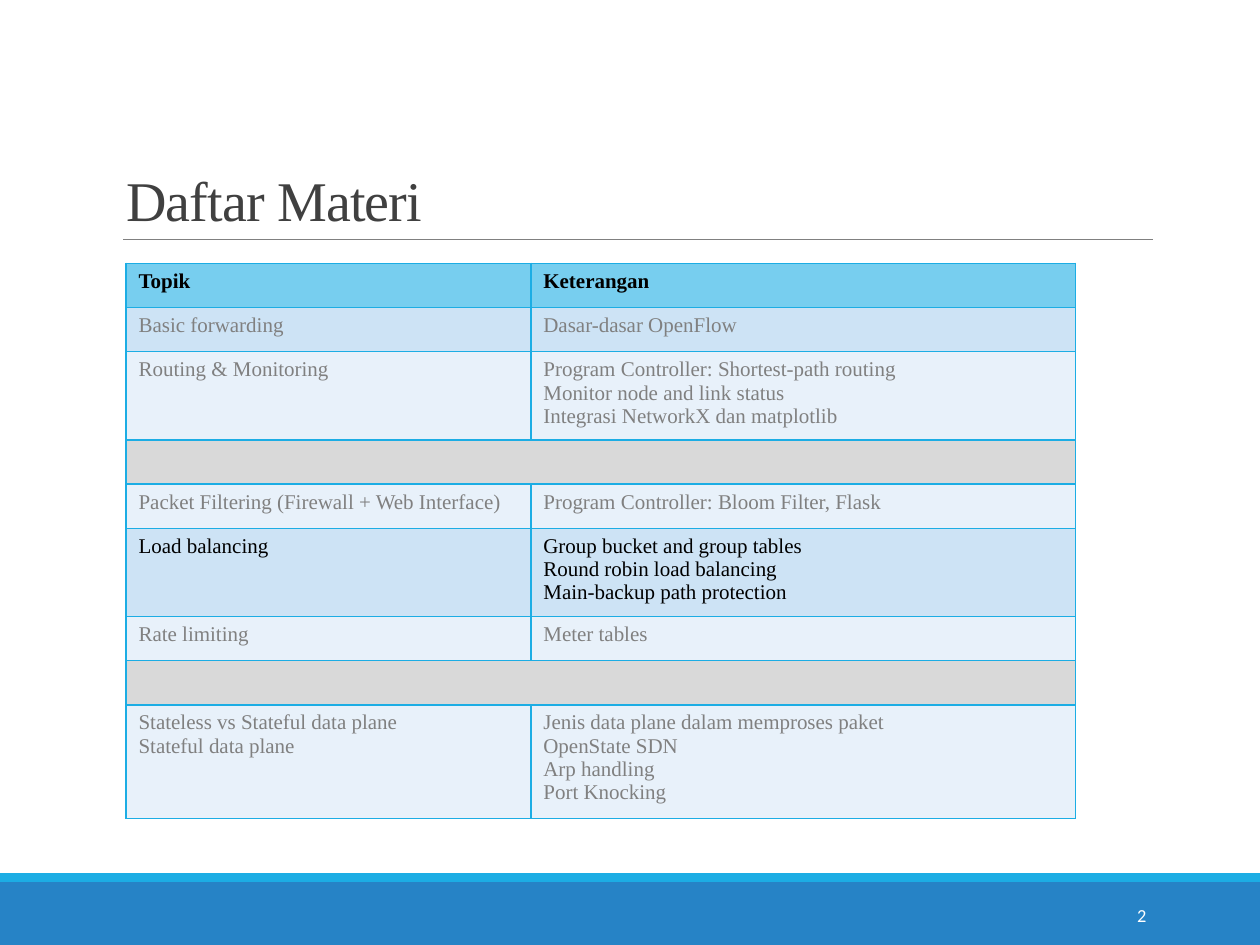
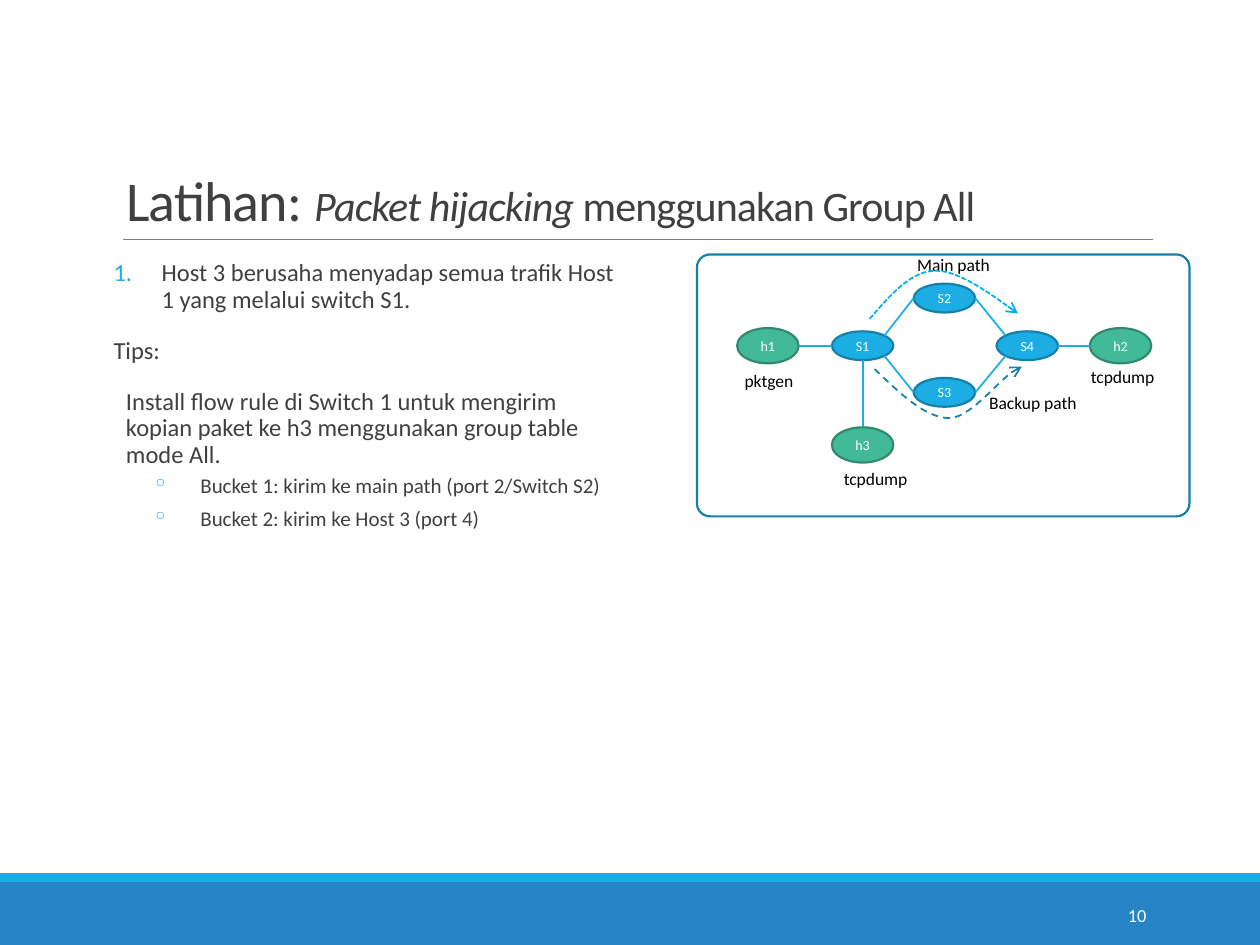
"""Build two slides on SDN load balancing: a topic table and a packet hijacking exercise."""
from dataclasses import dataclass
from math import sqrt
from typing import NamedTuple

from lxml import etree
from pptx import Presentation
from pptx.dml.color import RGBColor
from pptx.enum.dml import MSO_LINE
from pptx.enum.shapes import MSO_CONNECTOR, MSO_SHAPE
from pptx.enum.text import MSO_ANCHOR, MSO_AUTO_SIZE, PP_ALIGN
from pptx.oxml.ns import qn
from pptx.util import Cm, Pt

RECTANGLE, ROUNDED, OVAL = MSO_SHAPE.RECTANGLE, MSO_SHAPE.ROUNDED_RECTANGLE, MSO_SHAPE.OVAL
STRAIGHT = MSO_CONNECTOR.STRAIGHT
DASH, SHORT_DASH = MSO_LINE.DASH, MSO_LINE.SQUARE_DOT
MIDDLE, BOTTOM = MSO_ANCHOR.MIDDLE, MSO_ANCHOR.BOTTOM
LEFT, CENTER, RIGHT = PP_ALIGN.LEFT, PP_ALIGN.CENTER, PP_ALIGN.RIGHT
FIT_SHAPE, NO_FIT = MSO_AUTO_SIZE.SHAPE_TO_FIT_TEXT, MSO_AUTO_SIZE.NONE
TITLE_ONLY = 5
DIAGONAL = 1 / sqrt(2)


@dataclass(frozen=True)
class Theme:
    sans: str = "Calibri"
    serif: str = "Times New Roman"
    accent: str = "1CADE4"
    accent_dark: str = "1580A9"
    footer: str = "2683C6"
    host: str = "42BA97"
    host_dark: str = "318A70"
    main_path: str = "00B0F0"
    white: str = "FFFFFF"
    black: str = "000000"
    text: str = "404040"
    muted: str = "808080"
    header_fill: str = "77CEEF"
    strong_fill: str = "CDE3F5"
    light_fill: str = "E8F1FA"
    gap_fill: str = "D9D9D9"
    title_size: float = 32
    subtitle_size: float = 24
    body_size: float = 14
    detail_size: float = 12
    number_size: float = 10.5
    label_size: float = 10
    node_size: float = 8


THEME = Theme()


class Box(NamedTuple):
    left: float
    top: float
    width: float
    height: float


class TitlePart(NamedTuple):
    text: str
    size: float = THEME.title_size
    italic: bool = False


class Topic(NamedTuple):
    name: str
    detail: str
    fill: str = THEME.light_fill
    color: str = THEME.muted
    bold: bool = False


class BodyLine(NamedTuple):
    text: str
    size: float = THEME.body_size
    margin: float = 0
    indent: float = 0
    before: float = 12
    after: float = 2
    bullet: tuple[str, str, str] | None = None


class Node(NamedTuple):
    x: float
    y: float
    is_host: bool = False

    def box(self) -> Box:
        height = 0.71 if self.is_host else 0.58
        return Box(self.x - 0.62, self.y - height / 2, 1.24, height)

    def edge(self, across: float, down: float) -> tuple[float, float]:
        box = self.box()
        return self.x + across * box.width / 2, self.y + down * box.height / 2


class Link(NamedTuple):
    start: str
    end: str
    across: float
    down: float


class Label(NamedTuple):
    text: str
    left: float
    top: float
    width: float


class PathArrow(NamedTuple):
    points: list[tuple[float, float]]
    color: str
    dash: MSO_LINE


GAP = Topic("", "", THEME.gap_fill)
TOPICS = [
    Topic("Topik", "Keterangan", THEME.header_fill, THEME.black, True),
    Topic("Basic forwarding", "Dasar-dasar OpenFlow", THEME.strong_fill),
    Topic("Routing & Monitoring", "Program Controller: Shortest-path routing\n"
          "Monitor node and link status\nIntegrasi NetworkX dan matplotlib"),
    GAP,
    Topic("Packet Filtering (Firewall + Web Interface)", "Program Controller: Bloom Filter, Flask"),
    Topic("Load balancing", "Group bucket and group tables\nRound robin load balancing\n"
          "Main-backup path protection", THEME.strong_fill, THEME.black),
    Topic("Rate limiting", "Meter tables"),
    GAP,
    Topic("Stateless vs Stateful data plane\nStateful data plane",
          "Jenis data plane dalam memproses paket\nOpenState SDN\nArp handling\nPort Knocking"),
]
NUMBERED = ("a:buAutoNum", "type", "arabicPeriod")
BUCKET = dict(size=THEME.detail_size, margin=1.75, indent=-0.97, before=2, after=4,
              bullet=("a:buChar", "char", "◦"))
EXERCISE = [
    BodyLine("Host 3 berusaha menyadap semua trafik Host 1 yang melalui switch S1.",
             margin=0.97, indent=-0.97, bullet=NUMBERED),
    BodyLine("Tips:"),
    BodyLine("Install flow rule di Switch 1 untuk mengirim kopian paket ke h3 "
             "menggunakan group table mode All.", margin=0.25),
    BodyLine("Bucket 1: kirim ke main path (port 2/Switch S2)", **BUCKET),
    BodyLine("Bucket 2: kirim ke Host 3 (port 4)", **BUCKET),
]
NODES = {
    "S1": Node(17.39, 6.97), "S2": Node(19.04, 6.01),
    "S3": Node(19.04, 7.91), "S4": Node(20.71, 6.97),
    "h1": Node(15.48, 6.97, True), "h2": Node(22.59, 6.97, True), "h3": Node(17.39, 8.97, True),
}
STRAIGHT_LINKS = [Link("S1", "h1", -1, 0), Link("S4", "h2", 1, 0), Link("S1", "h3", 0, 1)]
DIAGONAL_LINKS = [Link("S1", "S2", 1, -1), Link("S1", "S3", 1, 1),
                  Link("S4", "S2", -1, -1), Link("S4", "S3", -1, 1)]
LABELS = [
    Label("tcpdump", 16.76, 9.32, 1.83), Label("tcpdump", 21.74, 7.26, 1.83),
    Label("pktgen", 14.76, 7.34, 1.52), Label("Main path", 18.24, 5, 2.01),
    Label("Backup path", 19.69, 7.77, 2.31),
]
PATHS = [
    PathArrow([(17.53, 6.43), (17.96, 5.94), (18.36, 5.46), (18.87, 5.46),
               (19.38, 5.44), (20.22, 6.12), (20.52, 6.32)], THEME.main_path, SHORT_DASH),
    PathArrow([(17.63, 7.44), (18.14, 7.92), (18.64, 8.43), (19.15, 8.43),
               (19.63, 8.41), (20.27, 7.47), (20.6, 7.39)], THEME.accent_dark, DASH),
]


def place(box: Box) -> list[Cm]:
    return [Cm(length) for length in box]


def add_xml(parent, tag: str, **attributes: str):
    return etree.SubElement(parent, qn(tag), attributes)


def style_font(font, size: float, color: str, name: str = THEME.sans) -> None:
    font.size, font.name = Pt(size), name
    font.color.rgb = RGBColor.from_string(color)


def style_line(line, color: str, width: float) -> None:
    line.color.rgb = RGBColor.from_string(color)
    line.width = Pt(width)


def add_box(slide, kind: MSO_SHAPE, box: Box, fill: str | None = None, outline: str | None = None):
    shape = slide.shapes.add_shape(kind, *place(box))
    shape.shadow.inherit = False
    if fill:
        shape.fill.solid()
        shape.fill.fore_color.rgb = RGBColor.from_string(fill)
    else:
        shape.fill.background()
    if outline:
        style_line(shape.line, outline, 1.25)
    else:
        shape.line.fill.background()
    return shape


def add_line(slide, start: tuple[float, float], end: tuple[float, float],
             color: str, width: float) -> None:
    ends = [Cm(length) for length in (*start, *end)]
    connector = slide.shapes.add_connector(STRAIGHT, *ends)
    style_line(connector.line, color, width)
    add_xml(connector.element.spPr, "a:effectLst")


def add_label(slide, text: str, box: Box, size: float, color: str):
    text_box = slide.shapes.add_textbox(*place(box))
    text_box.text_frame.text = text
    paragraph = text_box.text_frame.paragraphs[0]
    style_font(paragraph.runs[0].font, size, color)
    return text_box


def add_base_slide(presentation, parts: list[TitlePart], font_name: str, number: str):
    slide = presentation.slides.add_slide(presentation.slide_layouts[TITLE_ONLY])
    add_box(slide, RECTANGLE, Box(0, 17.78, 25.4, 1.27), THEME.footer)
    add_box(slide, RECTANGLE, Box(0, 17.6, 25.4, 0.18), THEME.accent)
    add_line(slide, (2.48, 4.83), (23.24, 4.83), THEME.muted, 0.5)
    title = slide.shapes.title
    title.left, title.top, title.width, title.height = place(Box(2.29, 0.79, 20.96, 4.04))
    frame = title.text_frame
    frame.auto_size, frame.vertical_anchor = NO_FIT, BOTTOM
    paragraph = frame.paragraphs[0]
    paragraph.alignment, paragraph.line_spacing = LEFT, 0.85
    for part in parts:
        run = paragraph.add_run()
        run.text = part.text
        style_font(run.font, part.size, THEME.text, font_name)
        run.font.italic = part.italic
        run.font._element.set("spc", "-50")
    page = add_label(slide, number, Box(20.62, 17.93, 2.74, 1.02), THEME.number_size, THEME.white)
    page.text_frame.word_wrap, page.text_frame.vertical_anchor = True, MIDDLE
    page.text_frame.paragraphs[0].alignment = RIGHT
    return slide


def fill_cell(cell, text: str, topic: Topic) -> None:
    properties = cell._tc.get_or_add_tcPr()
    for side in ("a:lnL", "a:lnR", "a:lnT", "a:lnB"):
        border = add_xml(properties, side, w=str(Pt(1)))
        add_xml(add_xml(border, "a:solidFill"), "a:srgbClr", val=THEME.accent)
    cell.fill.solid()
    cell.fill.fore_color.rgb = RGBColor.from_string(topic.fill)
    cell.text_frame.text = text
    for paragraph in cell.text_frame.paragraphs:
        for run in paragraph.runs:
            style_font(run.font, THEME.detail_size, topic.color, THEME.serif)
            run.font.bold = topic.bold
        if not text:
            add_xml(paragraph._p, "a:endParaRPr", sz=str(int(THEME.detail_size * 100)))


def add_topic_table(slide) -> None:
    row_height = 0.89
    box = Box(2.54, 5.31, 19.14, row_height * len(TOPICS))
    table = slide.shapes.add_table(len(TOPICS), 2, *place(box)).table
    table.first_row = table.horz_banding = False
    table.columns[0].width, table.columns[1].width = Cm(8.16), Cm(10.98)
    for index, topic in enumerate(TOPICS):
        table.rows[index].height = Cm(row_height)
        for column, text in enumerate((topic.name, topic.detail)):
            fill_cell(table.cell(index, column), text, topic)
        if topic is GAP:
            table.cell(index, 0).merge(table.cell(index, 1))


def add_exercise(slide) -> None:
    frame = slide.shapes.add_textbox(*place(Box(2.29, 5.13, 10.39, 11.18))).text_frame
    frame.word_wrap = True
    frame.margin_left = frame.margin_right = 0
    frame.text = "\n".join(line.text for line in EXERCISE)
    for paragraph, line in zip(frame.paragraphs, EXERCISE):
        style_font(paragraph.runs[0].font, line.size, THEME.text)
        paragraph.line_spacing = 0.9
        paragraph.space_before, paragraph.space_after = Pt(line.before), Pt(line.after)
        properties = paragraph._p.get_or_add_pPr()
        properties.set("marL", str(Cm(line.margin)))
        properties.set("indent", str(Cm(line.indent)))
        if line.bullet:
            tag, attribute, value = line.bullet
            add_xml(add_xml(properties, "a:buClr"), "a:srgbClr", val=THEME.accent)
            add_xml(properties, tag, **{attribute: value})


def add_node(slide, name: str, node: Node) -> None:
    fill, outline = ((THEME.host, THEME.host_dark) if node.is_host
                     else (THEME.accent, THEME.accent_dark))
    shape = add_box(slide, OVAL, node.box(), fill, outline)
    frame = shape.text_frame
    frame.text, frame.word_wrap, frame.vertical_anchor = name, False, MIDDLE
    frame.paragraphs[0].alignment = CENTER
    style_font(frame.paragraphs[0].runs[0].font, THEME.node_size, THEME.white)


def curve_points(points: list[tuple[float, float]], steps: int = 16) -> list[tuple[int, int]]:
    result = [(Cm(points[0][0]), Cm(points[0][1]))]
    for first in range(0, len(points) - 1, 3):
        for step in range(1, steps + 1):
            t = step / steps
            weights = ((1 - t) ** 3, 3 * t * (1 - t) ** 2, 3 * t * t * (1 - t), t ** 3)
            section = list(zip(weights, points[first:first + 4]))
            result.append(tuple(Cm(sum(weight * point[axis] for weight, point in section))
                                for axis in (0, 1)))
    return result


def add_path_arrow(slide, arrow: PathArrow) -> None:
    start, *rest = curve_points(arrow.points)
    builder = slide.shapes.build_freeform(*start)
    builder.add_line_segments(rest, close=False)
    shape = builder.convert_to_shape()
    shape.shadow.inherit = False
    shape.fill.background()
    style_line(shape.line, arrow.color, 1)
    shape.line.dash_style = arrow.dash
    add_xml(shape.element.spPr.find(qn("a:ln")), "a:tailEnd", type="arrow")


def add_network(slide) -> None:
    panel = add_box(slide, ROUNDED, Box(14.05, 5.13, 9.93, 5.28), outline=THEME.accent_dark)
    panel.adjustments[0] = 0.05
    for name, node in NODES.items():
        add_node(slide, name, node)
    for link in STRAIGHT_LINKS:
        add_line(slide, NODES[link.start].edge(link.across, link.down),
                 NODES[link.end].edge(-link.across, -link.down), THEME.accent, 1)
    for link in DIAGONAL_LINKS:
        add_line(slide, NODES[link.start].edge(link.across * DIAGONAL, link.down * DIAGONAL),
                 NODES[link.end].edge(-link.across, 0), THEME.accent, 1)
    for label in LABELS:
        box = Box(label.left, label.top, label.width, 0.69)
        frame = add_label(slide, label.text, box, THEME.label_size, THEME.black).text_frame
        frame.word_wrap, frame.auto_size = False, FIT_SHAPE
    for arrow in PATHS:
        add_path_arrow(slide, arrow)


def main() -> None:
    presentation = Presentation()
    presentation.slide_width, presentation.slide_height = Cm(25.4), Cm(19.05)
    topics = add_base_slide(presentation, [TitlePart("Daftar Materi")], THEME.serif, "2")
    add_topic_table(topics)
    title = [TitlePart("Latihan: "), TitlePart("Packet hijacking ", THEME.subtitle_size, True),
             TitlePart("menggunakan Group All", THEME.subtitle_size)]
    exercise = add_base_slide(presentation, title, THEME.sans, "10")
    add_exercise(exercise)
    add_network(exercise)
    presentation.save("out.pptx")


if __name__ == "__main__":
    main()
